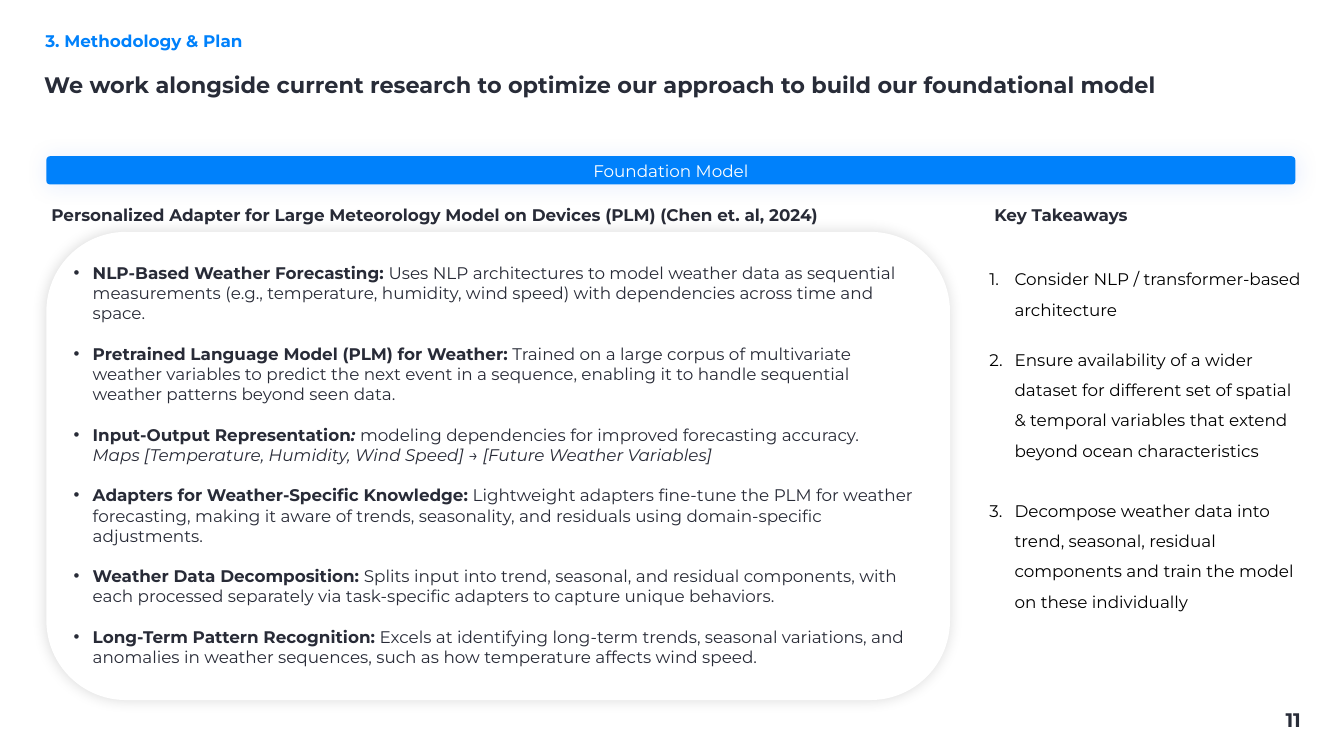
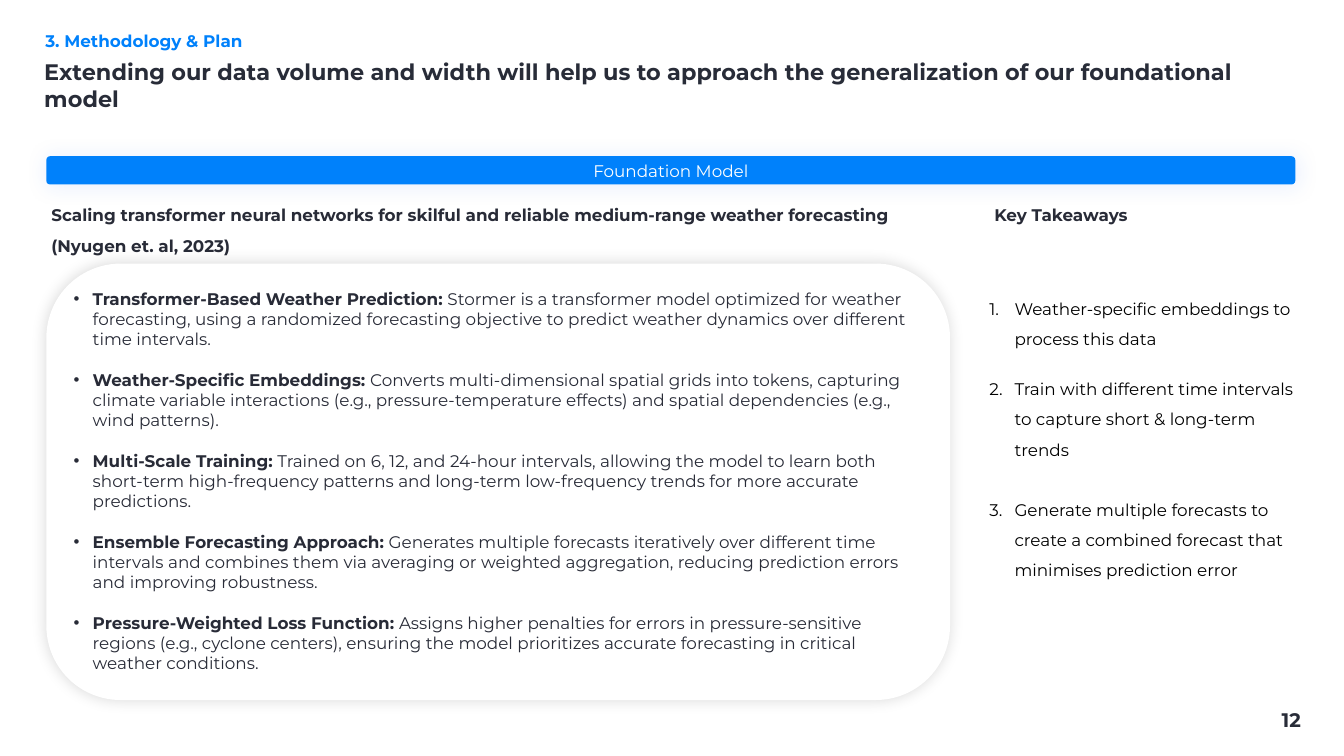
from lxml.etree import SubElement
from pptx import Presentation
from pptx.dml.color import RGBColor
from pptx.enum.shapes import MSO_SHAPE
from pptx.enum.text import MSO_ANCHOR, PP_ALIGN
from pptx.oxml.ns import qn
from pptx.util import Inches, Pt

COLORS = {"ink": "282C38", "body": "282B37", "blue": "0081FB", "glow": "2463EC",
          "white": "FFFFFF", "black": "000000"}
FONT = "Montserrat"
COLS, ROWS = 80, 45
LEFT, RIGHT = 2.76, 58.89
FLOOR = 41.67
LINE = 29.25
GAPS = (0, 28.6, 43)


def tint(name):
    return RGBColor.from_string(COLORS[name])


def mark(para, kind, indent):
    props = para._p.get_or_add_pPr()
    props.set("marL", str(Inches(indent)))
    props.set("indent", str(-Inches(indent)))
    if kind == "number":
        SubElement(props, qn("a:buAutoNum"), type="arabicPeriod")
    else:
        SubElement(props, qn("a:buFont"), typeface="Arial")
        SubElement(props, qn("a:buChar"), char="•")


def write(frame, text, size=24, color="body", bold=False, align=PP_ALIGN.LEFT,
          anchor=MSO_ANCHOR.TOP, inset=True, spacing=None, kind=None, indent=0, gaps=()):
    frame.word_wrap = True
    frame.vertical_anchor = anchor
    if not inset:
        frame.margin_left = frame.margin_right = 0
        frame.margin_top = frame.margin_bottom = 0
    items = [text] if isinstance(text, str) else text
    for index, item in enumerate(items):
        para = frame.paragraphs[0] if index == 0 else frame.add_paragraph()
        if kind:
            mark(para, kind, indent)
        elif indent:
            para._p.get_or_add_pPr().set("marL", str(Inches(indent)))
        para.alignment = align
        if spacing:
            para.line_spacing = spacing
        if index and gaps:
            para.space_before = Pt(gaps[index])
        runs = [(item, "b" if bold else "")] if isinstance(item, str) else item
        for words, style in runs:
            if words == "\n":
                para.add_line_break()
                continue
            run = para.add_run()
            run.text = words
            font = run.font
            font.name, font.size = FONT, Pt(size)
            font.color.rgb = tint(color)
            font.bold, font.italic = "b" in style, "i" in style


class Deck:
    def __init__(self):
        self.show = Presentation()
        self.show.slide_width, self.show.slide_height = Inches(26.67), Inches(15)
        self.slide = None

    def place(self, col, row, wide, high):
        across = self.show.slide_width / COLS
        down = self.show.slide_height / ROWS
        return (round(col * across), round(row * down),
                round(wide * across), round(high * down))

    def text(self, box, text, **style):
        shape = self.slide.shapes.add_textbox(*self.place(*box))
        write(shape.text_frame, text, **style)

    def panel(self, box, fill, round_by, glow, alpha, blur):
        shape = self.slide.shapes.add_shape(MSO_SHAPE.ROUNDED_RECTANGLE, *self.place(*box))
        shape.adjustments[0] = round_by
        shape.fill.solid()
        shape.fill.fore_color.rgb = tint(fill)
        shape.line.fill.background()
        shape.shadow.inherit = False
        effects = shape._element.spPr.find(qn("a:effectLst"))
        shadow = SubElement(effects, qn("a:outerShdw"), blurRad=str(Pt(blur)), dist="0",
                            dir="0", algn="ctr", rotWithShape="0")
        hue = SubElement(shadow, qn("a:srgbClr"), val=COLORS[glow])
        SubElement(hue, qn("a:alpha"), val=str(alpha * 1000))
        return shape

    def frame(self, title, number):
        self.slide = self.show.slides.add_slide(self.show.slide_layouts[6])
        self.text((71.82, 41.97, 5.91, 1.71), str(number), size=28, color="ink",
                  bold=True, align=PP_ALIGN.RIGHT)
        self.text((2.22, 1.47, 75.21, 1.71), "3. Methodology & Plan", color="blue",
                  bold=True, anchor=MSO_ANCHOR.MIDDLE, spacing=1.2, indent=0.06)
        self.text((2.34, 3.6, 75.21, 2.88), title, size=32, color="ink", bold=True,
                  anchor=MSO_ANCHOR.MIDDLE)
        band = self.panel((LEFT, 9.3, 74.34, 1.68), "blue", 0.13, "glow", 9, 30)
        write(band.text_frame, "Foundation Model", color="white",
              align=PP_ALIGN.CENTER, anchor=MSO_ANCHOR.MIDDLE)

    def heading(self, col, wide, text, lines=1):
        self.text((col, 11.46, wide, 0.12 + 1.8 * lines), text, bold=True, spacing=1.5)

    def card(self, top, high, points):
        self.panel((LEFT, top, 53.79, FLOOR - top), "white", 0.17, "black", 14, 21)
        start = (top + FLOOR - high) / 2
        self.text((4.38, start, 50.55, high), points, inset=False, kind="bullet",
                  indent=0.38, gaps=[LINE] * len(points))

    def steps(self, top, high, items):
        self.text((RIGHT, top, 18.6, high), items, color="black", inset=False,
                  spacing=1.5, kind="number", indent=0.5, gaps=GAPS)

    def paper(self, page):
        self.frame(page["title"], page["number"])
        self.heading(LEFT, 51.54, page["source"], page["lines"])
        self.heading(RIGHT, 18.18, "Key Takeaways")
        self.card(*page["card"], page["points"])
        self.steps(*page["steps"], page["lessons"])


def point(lead, body):
    return [(lead + ": ", "b"), (body, "")]


PAGES = [
    {
        "number": 11,
        "title": "We work alongside current research to optimize our approach to build our "
                 "foundational model",
        "source": "Personalized Adapter for Large Meteorology Model on Devices (PLM) "
                  "(Chen et. al, 2024)",
        "lines": 1,
        "card": (13.8, 24.24),
        "points": [
            point("NLP-Based Weather Forecasting",
                  "Uses NLP architectures to model weather data as sequential measurements "
                  "(e.g., temperature, humidity, wind speed) with dependencies across time "
                  "and space."),
            point("Pretrained Language Model (PLM) for Weather",
                  "Trained on a large corpus of multivariate weather variables to predict the "
                  "next event in a sequence, enabling it to handle sequential weather patterns "
                  "beyond seen data."),
            [("Input-Output Representation", "b"), (": ", "bi"),
             ("modeling dependencies for improved forecasting accuracy.", ""), ("\n", ""),
             ("Maps [Temperature, Humidity, Wind Speed] → [Future Weather Variables]", "i")],
            point("Adapters for Weather-Specific Knowledge",
                  "Lightweight adapters fine-tune the PLM for weather forecasting, making it "
                  "aware of trends, seasonality, and residuals using domain-specific "
                  "adjustments."),
            point("Weather Data Decomposition",
                  "Splits input into trend, seasonal, and residual components, with each "
                  "processed separately via task-specific adapters to capture unique "
                  "behaviors."),
            point("Long-Term Pattern Recognition",
                  "Excels at identifying long-term trends, seasonal variations, and anomalies "
                  "in weather sequences, such as how temperature affects wind speed."),
        ],
        "steps": (15.42, 21.81),
        "lessons": [
            "Consider NLP / transformer-based architecture",
            "Ensure availability of a wider dataset for different set of spatial & temporal "
            "variables that extend beyond ocean characteristics",
            "Decompose weather data into trend, seasonal, residual components and train the "
            "model on these individually",
        ],
    },
    {
        "number": 12,
        "title": "Extending our data volume and width will help us to approach the "
                 "generalization of our foundational model",
        "source": "Scaling transformer neural networks for skilful and reliable medium-range "
                  "weather forecasting (Nyugen et. al, 2023)",
        "lines": 2,
        "card": (15.69, 23.01),
        "points": [
            point("Transformer-Based Weather Prediction",
                  "Stormer is a transformer model optimized for weather forecasting, using a "
                  "randomized forecasting objective to predict weather dynamics over different "
                  "time intervals."),
            point("Weather-Specific Embeddings",
                  "Converts multi-dimensional spatial grids into tokens, capturing climate "
                  "variable interactions (e.g., pressure-temperature effects) and spatial "
                  "dependencies (e.g., wind patterns)."),
            point("Multi-Scale Training",
                  "Trained on 6, 12, and 24-hour intervals, allowing the model to learn both "
                  "short-term high-frequency patterns and long-term low-frequency trends for "
                  "more accurate predictions."),
            point("Ensemble Forecasting Approach",
                  "Generates multiple forecasts iteratively over different time intervals and "
                  "combines them via averaging or weighted aggregation, reducing prediction "
                  "errors and improving robustness."),
            point("Pressure-Weighted Loss Function",
                  "Assigns higher penalties for errors in pressure-sensitive regions (e.g., "
                  "cyclone centers), ensuring the model prioritizes accurate forecasting in "
                  "critical weather conditions."),
        ],
        "steps": (17.16, 18.18),
        "lessons": [
            "Weather-specific embeddings to process this data",
            "Train with different time intervals to capture short & long-term trends",
            "Generate multiple forecasts to create a combined forecast that minimises "
            "prediction error",
        ],
    },
]


def main():
    deck = Deck()
    for page in PAGES:
        deck.paper(page)
    deck.show.save("out.pptx")


if __name__ == "__main__":
    main()
